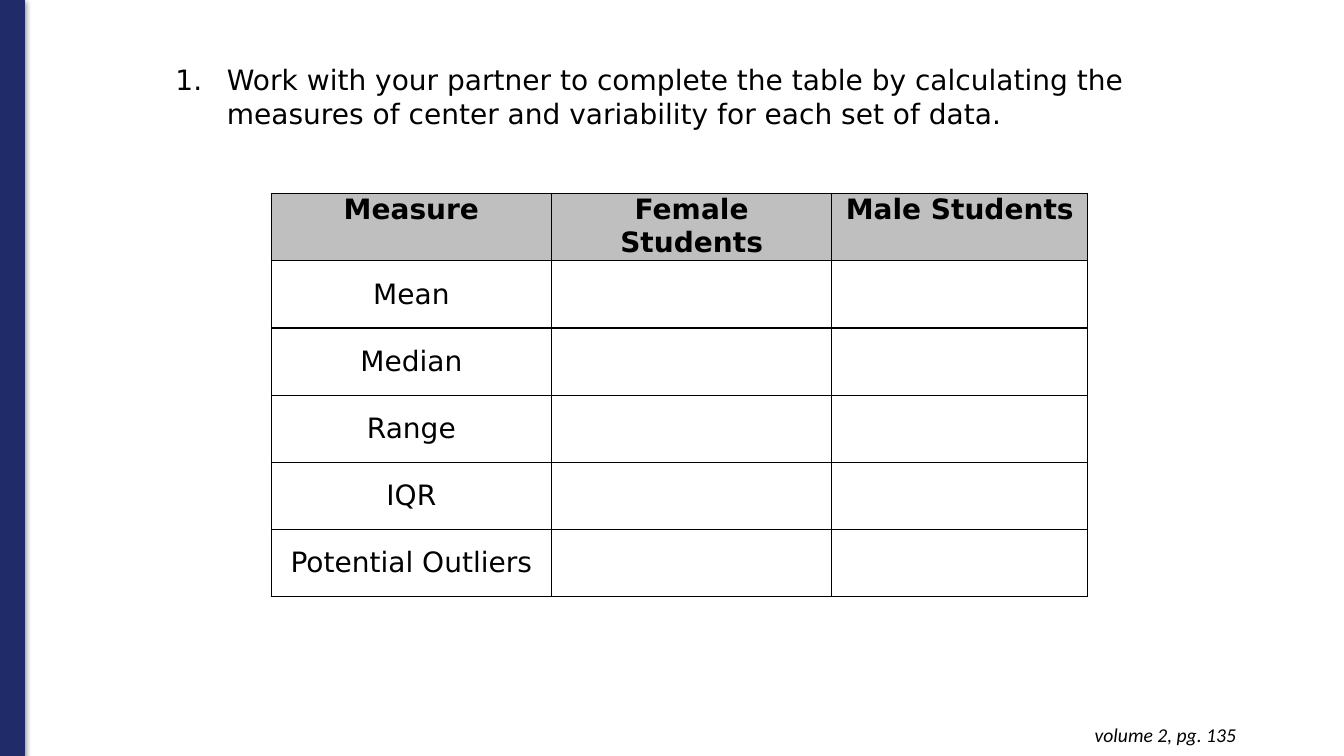
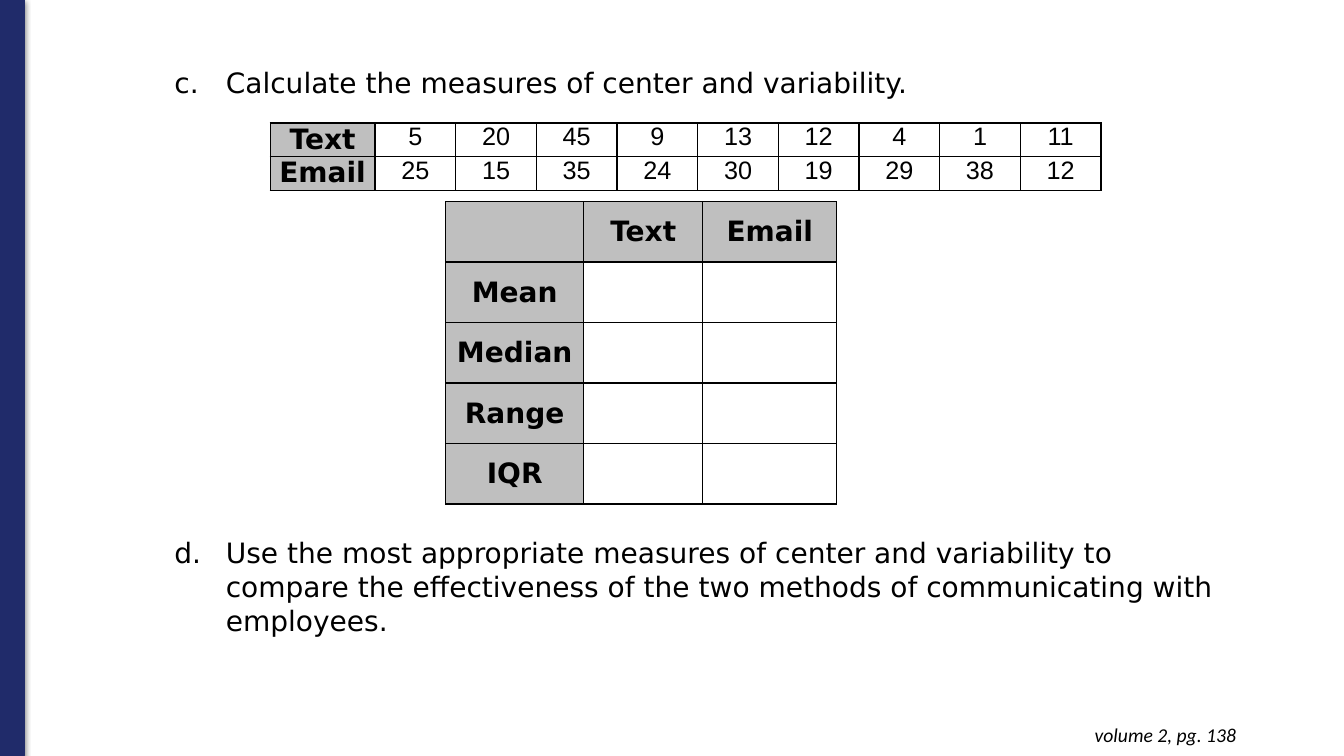
from lxml import etree
from pptx import Presentation
from pptx.dml.color import RGBColor
from pptx.enum.shapes import MSO_SHAPE
from pptx.enum.text import MSO_ANCHOR as Anchor, MSO_AUTO_SIZE as AutoSize, PP_ALIGN as Align
from pptx.oxml import parse_xml
from pptx.oxml.ns import nsdecls, qn
from pptx.util import Pt

PX = 9144
SLIDE_W, SLIDE_H = 1333, 750
NAVY, BLACK, GRAY = "202B6A", "000000", "BFBFBF"
MAIN_FONT, DATA_FONT, FOOTER_FONT = "DejaVu Sans", "Arial", "Calibri"
HANGING = 51


def px(*lengths):
    return [round(length * PX) for length in lengths]


def color(hex_string):
    return RGBColor.from_string(hex_string)


def style(paragraph, size, face=MAIN_FONT, bold=False, italic=False):
    font = paragraph.font
    font.name, font.size, font.bold, font.italic = face, Pt(size), bold, italic
    font.color.rgb = color(BLACK)


def set_margins(frame, horizontal, vertical):
    frame.margin_left, frame.margin_right = px(horizontal, horizontal)
    frame.margin_top, frame.margin_bottom = px(vertical, vertical)


def add_band(slide):
    band = slide.shapes.add_shape(MSO_SHAPE.RECTANGLE, *px(0, 0, 24, SLIDE_H))
    band.fill.solid()
    band.fill.fore_color.rgb = band.line.color.rgb = color(NAVY)
    band.line.width = Pt(0.75)
    band.shadow.inherit = False
    effects = band._element.spPr.find(qn("a:effectLst"))
    effects.append(parse_xml(
        f'<a:outerShdw {nsdecls("a")} blurRad="{Pt(4.5)}" dist="{Pt(1.5)}" dir="5400000" rotWithShape="0">'
        f'<a:srgbClr val="{BLACK}"><a:alpha val="50000"/></a:srgbClr></a:outerShdw>'))


def add_footer(slide, text):
    frame = slide.shapes.add_textbox(*px(948, 707, 288, 43)).text_frame
    frame.word_wrap = True
    set_margins(frame, 10, 10)
    reference = frame.paragraphs[0]
    reference.text = text
    reference.alignment = Align.RIGHT
    style(reference, 14, FOOTER_FONT, italic=True)


def add_page(deck, footer):
    slide = deck.slides.add_slide(deck.slide_layouts[1])
    heading = slide.shapes.title._element
    heading.getparent().remove(heading)
    add_band(slide)
    add_footer(slide, footer)
    return slide


def fill_prompts(slide, box, prompts, numbering, start=1, gap=0):
    body = slide.placeholders[1]
    body.left, body.top, body.width, body.height = px(*box)
    frame = body.text_frame
    frame.word_wrap = True
    frame.auto_size = AutoSize.NONE
    set_margins(frame, 10, 5)
    for index, prompt in enumerate(prompts):
        item = frame.add_paragraph() if index else frame.paragraphs[0]
        item.text = prompt
        item.line_spacing = Pt(24.3)
        item.space_before = Pt(gap if index else 0)
        properties = item._p.get_or_add_pPr()
        indent, = px(HANGING)
        properties.set("marL", str(indent))
        properties.set("indent", str(-indent))
        etree.SubElement(properties, qn("a:buAutoNum"), type=numbering, startAt=str(start))
        style(item, 20)


def add_borders(cell):
    properties = cell._tc.get_or_add_tcPr()
    for side in ("lnL", "lnR", "lnT", "lnB"):
        properties.append(parse_xml(
            f'<a:{side} {nsdecls("a")} w="{Pt(1)}"><a:solidFill>'
            f'<a:srgbClr val="{BLACK}"/></a:solidFill></a:{side}>'))


def add_grid(slide, left, top, height, widths, rows, is_shaded, is_bold, anchor_of, size=20, face=MAIN_FONT):
    table = slide.shapes.add_table(
        len(rows), len(widths), *px(left, top, sum(widths), height)).table
    table.first_row = table.horz_banding = False
    for column, width in zip(table.columns, widths):
        column.width, = px(width)
    for r, row in enumerate(rows):
        for c, text in enumerate(row):
            cell = table.cell(r, c)
            add_borders(cell)
            if is_shaded(r, c):
                cell.fill.solid()
                cell.fill.fore_color.rgb = color(GRAY)
            else:
                cell.fill.background()
            set_margins(cell, 7, 0)
            cell.vertical_anchor = anchor_of(r)
            entry = cell.text_frame.paragraphs[0]
            entry.text = text
            entry.alignment = Align.CENTER
            if is_bold(r, c):
                style(entry, 20, bold=True)
            else:
                style(entry, size, face)


def in_header_row(r, c):
    return r == 0


def in_header_column(r, c):
    return c == 0


def in_either_header(r, c):
    return r == 0 or c == 0


def with_blanks(labels):
    return [(label, "", "") for label in labels]


def build_students(deck):
    slide = add_page(deck, "volume 2, pg. 135")
    fill_prompts(slide, (164, 57, 1021, 77), [
        "Work with your partner to complete the table by calculating the "
        "measures of center and variability for each set of data."], "arabicPeriod")
    rows = [("Measure", "Female Students", "Male Students"),
            *with_blanks(["Mean", "Median", "Range", "IQR", "Potential Outliers"])]
    add_grid(slide, 269, 192, 400, [278, 278, 254], rows, in_header_row, in_header_row,
             lambda r: Anchor.MIDDLE if r else Anchor.TOP)


def build_messages(deck):
    slide = add_page(deck, "volume 2, pg. 138")
    fill_prompts(slide, (163, 60, 1075, 600), [
        "Calculate the measures of center and variability.",
        "Use the most appropriate measures of center and variability to compare "
        "the effectiveness of the two methods of communicating with employees."],
        "alphaLcPeriod", start=3, gap=311)
    summary = [("", "Text", "Email"), *with_blanks(["Mean", "Median", "Range", "IQR"])]
    add_grid(slide, 442, 200, 300, [137, 118, 133], summary, in_either_header, in_either_header,
             lambda r: Anchor.MIDDLE)
    counts = {"Text": [5, 20, 45, 9, 13, 12, 4, 1, 11],
              "Email": [25, 15, 35, 24, 30, 19, 29, 38, 12]}
    data = [(method, *map(str, values)) for method, values in counts.items()]
    add_grid(slide, 268, 122, 67, [104] + [80] * 9, data, in_header_column, in_header_column,
             lambda r: Anchor.TOP, 18, DATA_FONT)


def main():
    deck = Presentation()
    deck.slide_width, deck.slide_height = px(SLIDE_W, SLIDE_H)
    build_students(deck)
    build_messages(deck)
    deck.save("out.pptx")


if __name__ == "__main__":
    main()
